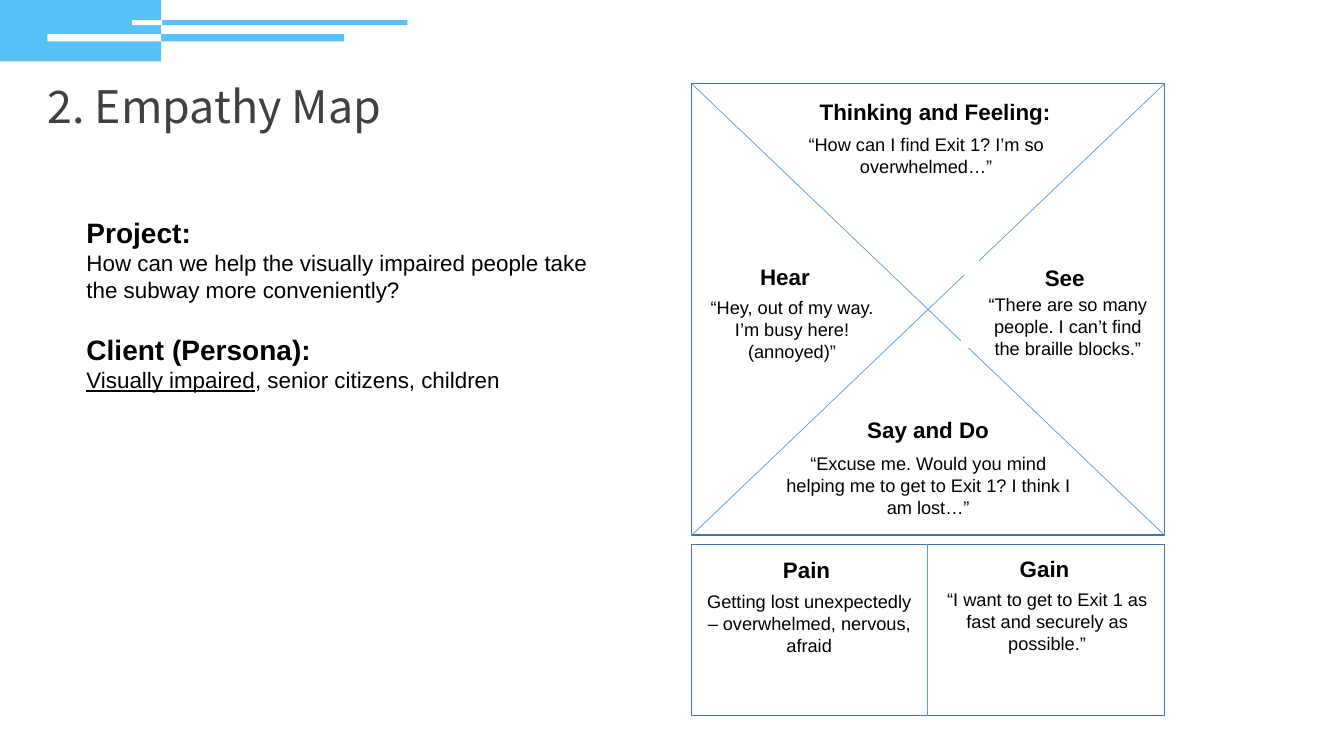
from pptx import Presentation
from pptx import util as u
from pptx.dml.color import RGBColor
from pptx.enum import shapes, text
from pptx.oxml.ns import qn
from lxml import etree

# Content: boxes are left, top, width, height in px (100 px to the inch)
TITLE = ("2. Empathy Map", (37, 73, 378, 64))
BRIEF_BOX = (76, 209, 530, 188)
BRIEF = [
    [("Project:", {"size": 20, "bold": True})],
    [("How can we help the visually impaired people take "
      "the subway more conveniently?", {})],
    [("Client (Persona):", {"size": 20, "bold": True})],
    [("Visually impaired", {"line": True}), (", senior citizens, children", {})],
]
BANNER = [
    ((0, 0, 160, 61), "56C2F8"),
    ((159, 34, 182, 7), "56C2F8"),
    ((47, 34, 113, 7), "FFFFFF"),
    ((160, 20, 244, 5), "56C2F8"),
    ((131, 20, 30, 5), "FFFFFF"),
]
MAP = (686, 83, 469, 448)
NEEDS = (686, 540, 469, 170)
GAPS = [((926, 240, 44, 32), 0), ((954, 308, 16, 37), 0), ((948, 300, 3, 29), 292.1)]
# Heading, its box, quote lines, their box
PARTS = [
    ("Thinking and Feeling:", (799, 92, 257, 37),
     ["“How can I find Exit 1? I’m so overwhelmed…”"], (766, 127, 305, 54)),
    ("See", (964, 257, 184, 33),
     ["“There are so many people. I can’t find the braille blocks.”"],
     (967, 286, 184, 76)),
    ("Hear", (676, 256, 205, 33),
     ["“Hey, out of my way.", "I’m busy here!", "(annoyed)”"], (675, 289, 221, 76)),
    ("Say and Do", (802, 408, 237, 33),
     ["“Excuse me. Would you mind helping me to get to Exit 1? I think I am lost…”"],
     (768, 444, 305, 76)),
    ("Gain", (944, 546, 184, 37),
     ["“I want to get to Exit 1 as fast and securely as possible.”"],
     (926, 579, 225, 76)),
    ("Pain", (708, 547, 184, 37),
     ["Getting lost unexpectedly – overwhelmed, nervous, afraid"],
     (690, 581, 225, 76)),
]

PX = 9144
prs = Presentation()
prs.slide_width, prs.slide_height = 1333 * PX, 750 * PX
slide = prs.slides.add_slide(prs.slide_layouts[5])


def emu(box):
    return [n * PX for n in box]


def color(code):
    return RGBColor.from_string(code)


def style(run, size=16, bold=False, line=False, face="Arial", ink="000000"):
    font = run.font
    font.size, font.bold, font.name = u.Pt(size), bold, face
    font.color.rgb = color(ink)
    if line:
        font.underline = True


def write(box, paras, align="LEFT", gaps=None, **form):
    """Add a text box; each paragraph is a list of (words, format) runs."""
    frame = slide.shapes.add_textbox(*emu(box)).text_frame
    frame.word_wrap = True
    for i, runs in enumerate(paras):
        para = frame.paragraphs[0] if i == 0 else frame.add_paragraph()
        para.alignment = getattr(text.PP_ALIGN, align)
        if gaps and i in gaps:
            para.space_before = u.Pt(gaps[i])
        for words, own in runs:
            run = para.add_run()
            run.text = words
            style(run, **{**form, **own})


def rect(box, fill=None, line=None, turn=0):
    shape = slide.shapes.add_shape(shapes.MSO_SHAPE.RECTANGLE, *emu(box))
    shape.shadow.inherit = False
    shape.rotation = turn
    if fill:
        shape.fill.solid()
        shape.fill.fore_color.rgb = color(fill)
    else:
        shape.fill.background()
    if line:
        shape.line.color.rgb = color(line)
        shape.line.width = u.Pt(1)
    else:
        shape.line.fill.background()


def rule(*ends):
    line = slide.shapes.add_connector(shapes.MSO_CONNECTOR.STRAIGHT, *emu(ends))
    line.line.color.rgb = color("5B9BD5")
    line.line.width = u.Pt(0.5)
    etree.SubElement(line.element.spPr, qn("a:effectLst"))


# Banner
for box, fill in BANNER:
    rect(box, fill)

# Title
head = slide.shapes.title
head.left, head.top, head.width, head.height = emu(TITLE[1])
frame = head.text_frame
frame.text = TITLE[0]
frame.word_wrap = True
frame.auto_size = text.MSO_AUTO_SIZE.NONE
frame.vertical_anchor = text.MSO_ANCHOR.MIDDLE
frame.paragraphs[0].alignment = text.PP_ALIGN.LEFT
style(frame.paragraphs[0].runs[0], size=32, face="Noto Sans CJK KR", ink="404040")

# Project and client
write(BRIEF_BOX, BRIEF, gaps={2: 21})

# Map with crossing diagonals, broken beside "See"
x, y, w, h = MAP
rect(MAP, line="43739E")
rule(x, y, x + w, y + h)
rule(x + w, y, x, y + h)
for box, turn in GAPS:
    rect(box, "FFFFFF", "FFFFFF", turn)

# Pain and gain frame
x, y, w, h = NEEDS
rect(NEEDS, line="43739E")
rule(x + w // 2, y, x + w // 2, y + h)

# Headings and quotes
for name, spot, lines, box in PARTS:
    write(box, [[(words, {})] for words in lines], "CENTER", size=13)
    write(spot, [[(name, {})]], "CENTER", bold=True)

prs.save("out.pptx")
